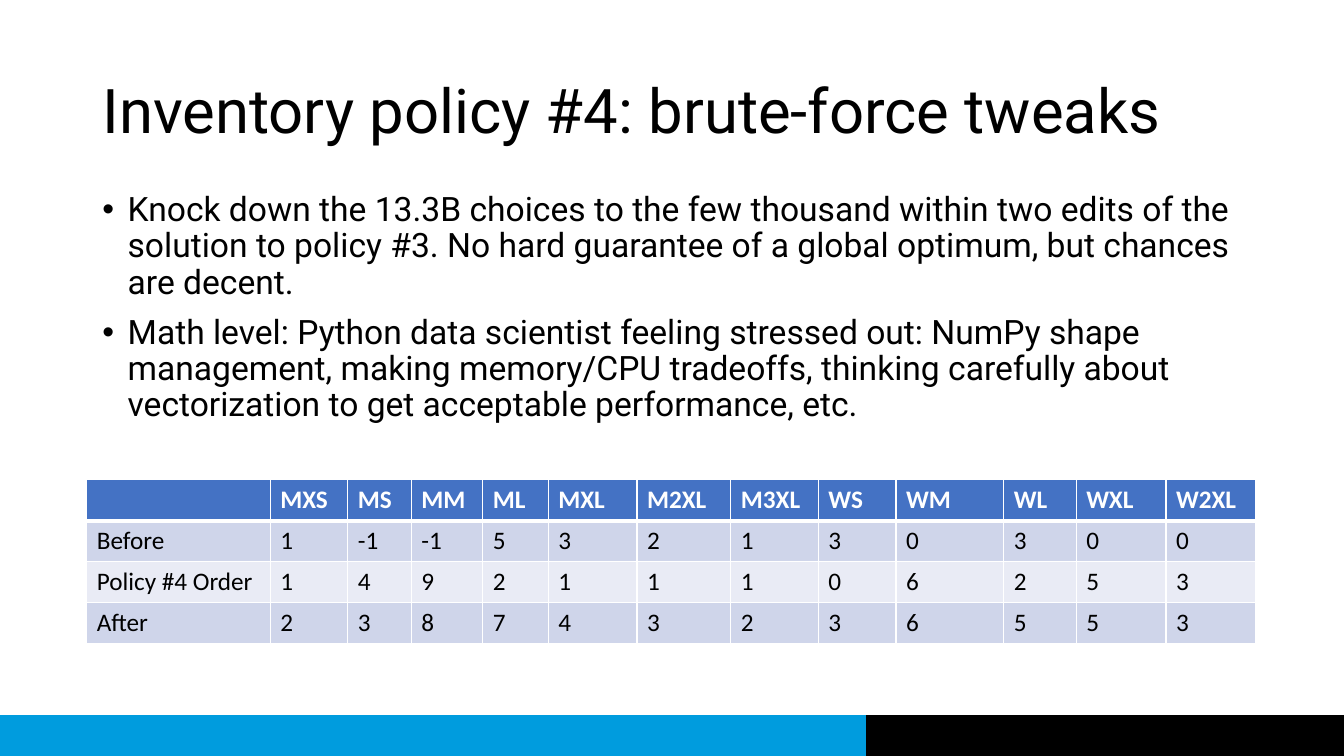
from lxml import etree
from pptx import Presentation
from pptx.dml.color import RGBColor
from pptx.enum.shapes import MSO_SHAPE
from pptx.enum.text import MSO_ANCHOR, MSO_AUTO_SIZE, PP_ALIGN
from pptx.oxml.ns import qn
from pptx.util import Pt

RECT = MSO_SHAPE.RECTANGLE
MIDDLE, TOP = MSO_ANCHOR.MIDDLE, MSO_ANCHOR.TOP
NO_FIT = MSO_AUTO_SIZE.NONE
LEFT = PP_ALIGN.LEFT

WIDTH, HEIGHT = 960, 540
BLACK, WHITE, SKY, BLUE = "000000", "FFFFFF", "009CDE", "4472C4"
BANDS = ["CFD5EA", "E9EBF5"]

TITLE = "Inventory policy #4: brute-force tweaks"
POINTS = [
    "Knock down the 13.3B choices to the few thousand within two edits of "
    "the solution to policy #3. No hard guarantee of a global optimum, but "
    "chances are decent.",
    "Math level: Python data scientist feeling stressed out: NumPy shape "
    "management, making memory/CPU tradeoffs, thinking carefully about "
    "vectorization to get acceptable performance, etc.",
]
COLS = [131, 55.4, 45.4, 51.1, 46.8, 63.4, 67, 62.6, 55.4, 77, 51.8, 64.1, 64.1]
ROW = 29.2
STOCK = [
    ["", "MXS", "MS", "MM", "ML", "MXL", "M2XL", "M3XL",
     "WS", "WM", "WL", "WXL", "W2XL"],
    ["Before", 1, -1, -1, 5, 3, 2, 1, 3, 0, 3, 0, 0],
    ["Policy #4 Order", 1, 4, 9, 2, 1, 1, 1, 0, 6, 2, 5, 3],
    ["After", 2, 3, 8, 7, 4, 3, 2, 3, 6, 5, 5, 3],
]


def color(code):
    return RGBColor.from_string(code)


def add_run(para, text, size, face, tint, bold=False):
    run = para.add_run()
    run.text = text
    font = run.font
    font.size, font.name, font.bold = Pt(size), face, bold
    font.color.rgb = color(tint)


def add_bar(slide, left, width, tint):
    """Draw one part of the strip along the foot of the slide."""
    bar = slide.shapes.add_shape(RECT, Pt(left), Pt(511), Pt(width), Pt(29))
    bar.shadow.inherit = False
    bar.fill.solid()
    bar.fill.fore_color.rgb = color(tint)
    bar.line.color.rgb = color(tint)
    bar.line.width = Pt(1)


def fill_holder(holder, box, anchor, texts, size, gap=0, indent=0):
    """Place a placeholder and write one paragraph per text."""
    holder.left, holder.top, holder.width, holder.height = map(Pt, box)
    frame = holder.text_frame
    frame.word_wrap = True
    frame.auto_size = NO_FIT
    frame.vertical_anchor = anchor
    for i, text in enumerate(texts):
        para = frame.add_paragraph() if i else frame.paragraphs[0]
        props = para._p.get_or_add_pPr()
        props.set("marL", str(Pt(indent)))
        props.set("indent", str(Pt(-indent)))
        para.alignment = LEFT
        para.line_spacing = 0.9
        para.space_before = Pt(gap if i else 0)
        add_run(para, text, size, "Roboto", BLACK)


def add_edges(cell, foot):
    """Give a cell white borders; foot is the width of the bottom one."""
    props = cell._tc.get_or_add_tcPr()
    for i, (tag, width) in enumerate(
            [("a:lnL", 1), ("a:lnR", 1), ("a:lnT", 1), ("a:lnB", foot)]):
        edge = etree.Element(qn(tag), w=str(Pt(width)))
        fill = etree.SubElement(edge, qn("a:solidFill"))
        etree.SubElement(fill, qn("a:srgbClr"), val=WHITE)
        props.insert(i, edge)


def add_stock(slide):
    frame = slide.shapes.add_table(
        len(STOCK), len(COLS), Pt(62), Pt(342.7),
        Pt(sum(COLS)), Pt(ROW * len(STOCK)))
    table = frame.table
    for col, width in zip(table.columns, COLS):
        col.width = Pt(width)
    for r, values in enumerate(STOCK):
        table.rows[r].height = Pt(ROW)
        head = r == 0
        for c, value in enumerate(values):
            cell = table.cell(r, c)
            cell.fill.solid()
            cell.fill.fore_color.rgb = color(BLUE if head else BANDS[(r - 1) % 2])
            add_edges(cell, 3 if head else 1)
            if value != "":
                add_run(cell.text_frame.paragraphs[0], str(value), 18,
                        "Calibri", WHITE if head else BLACK, head)


def main():
    deck = Presentation()
    deck.slide_width, deck.slide_height = Pt(WIDTH), Pt(HEIGHT)
    slide = deck.slides.add_slide(deck.slide_layouts[1])
    add_bar(slide, 0, WIDTH, SKY)
    add_bar(slide, 619, WIDTH - 619, BLACK)
    fill_holder(slide.shapes.title, (66, 28.8, 828, 104.4), MIDDLE, [TITLE], 44)
    fill_holder(slide.placeholders[1], (66, 133.9, 828, 197.3), TOP, POINTS, 24,
                gap=10, indent=18)
    add_stock(slide)
    deck.save("out.pptx")


if __name__ == "__main__":
    main()
